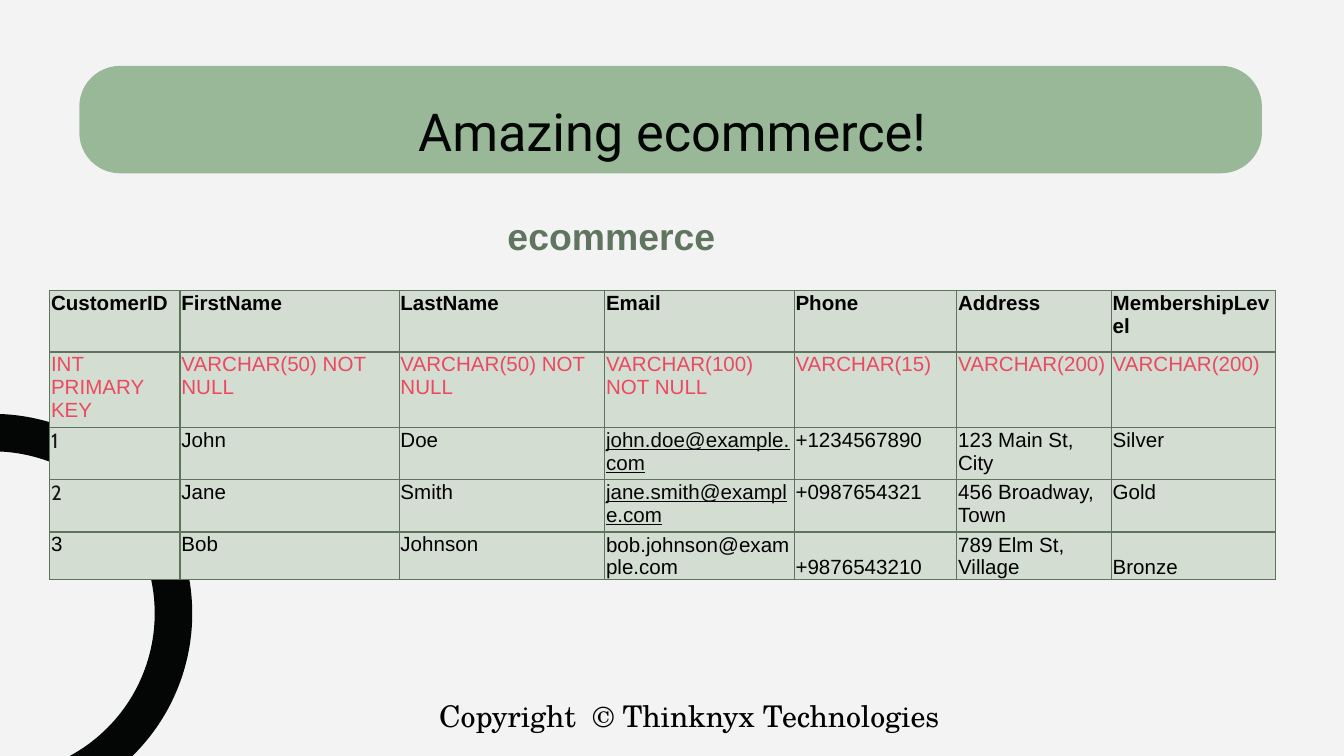
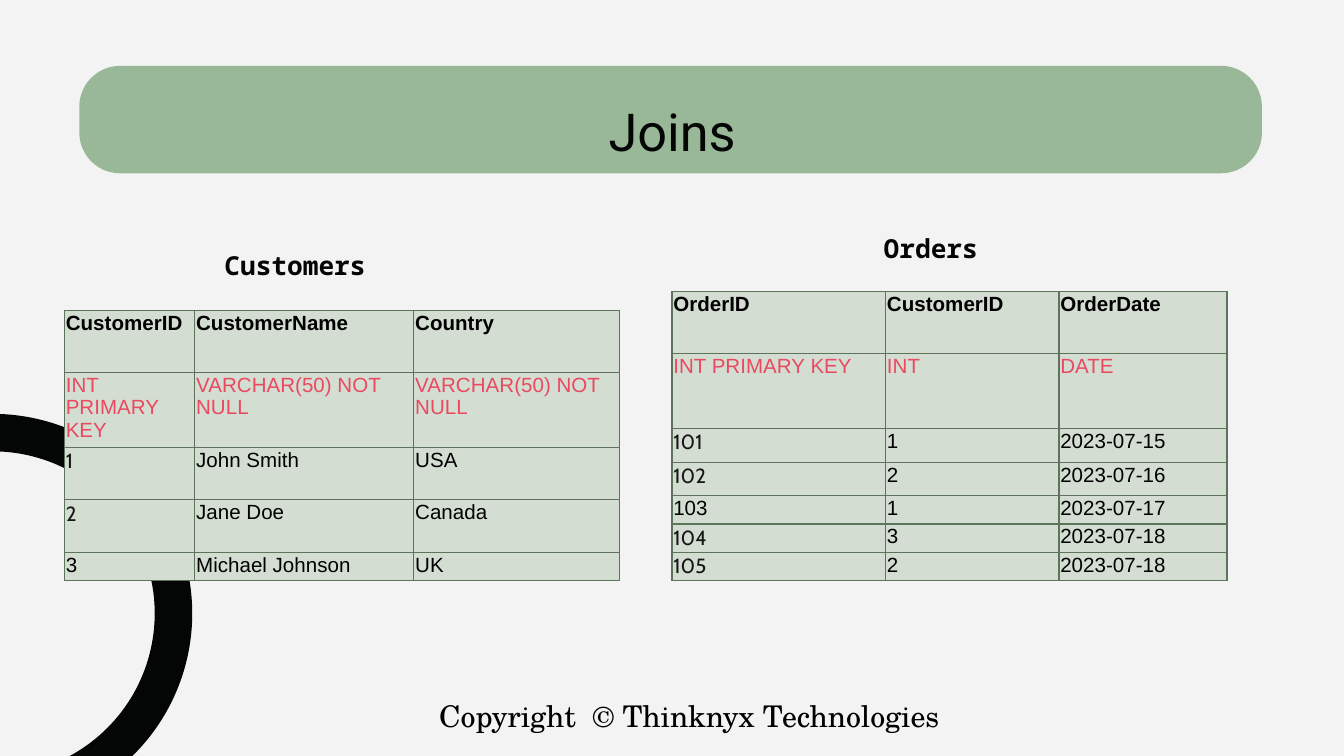
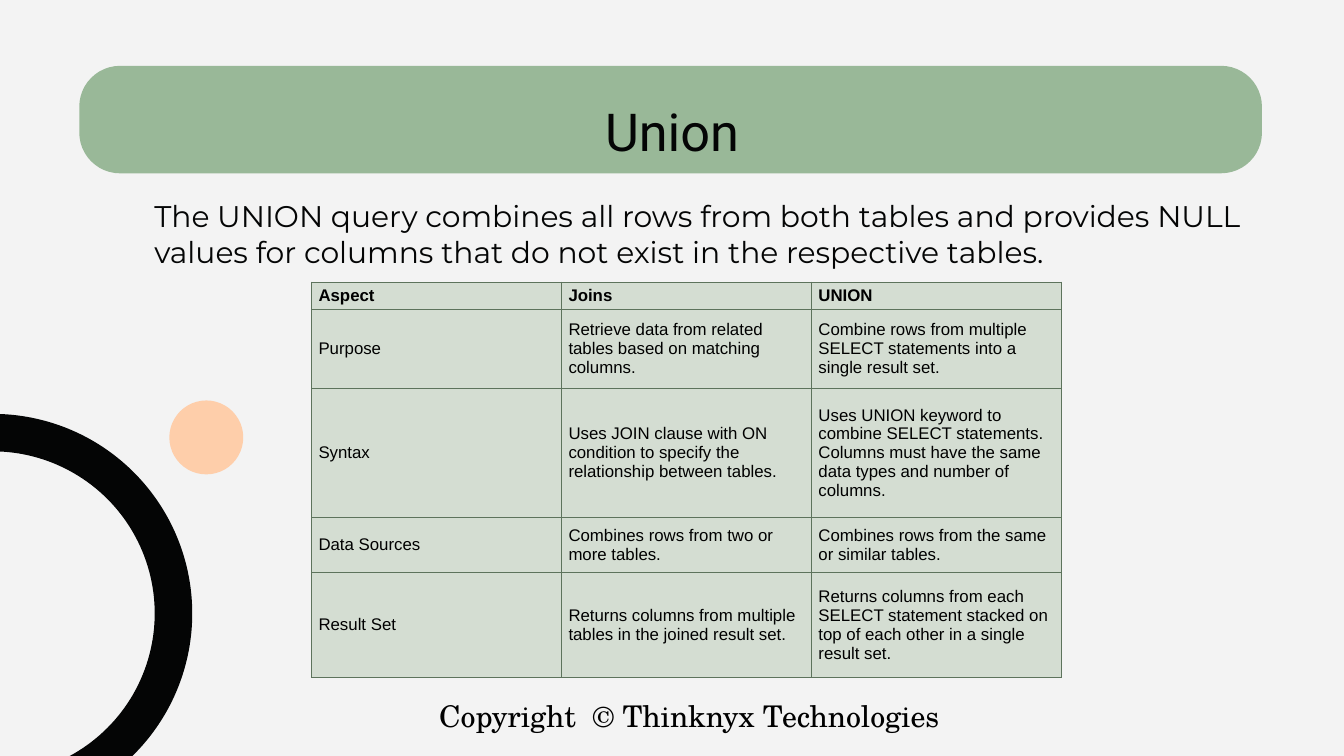
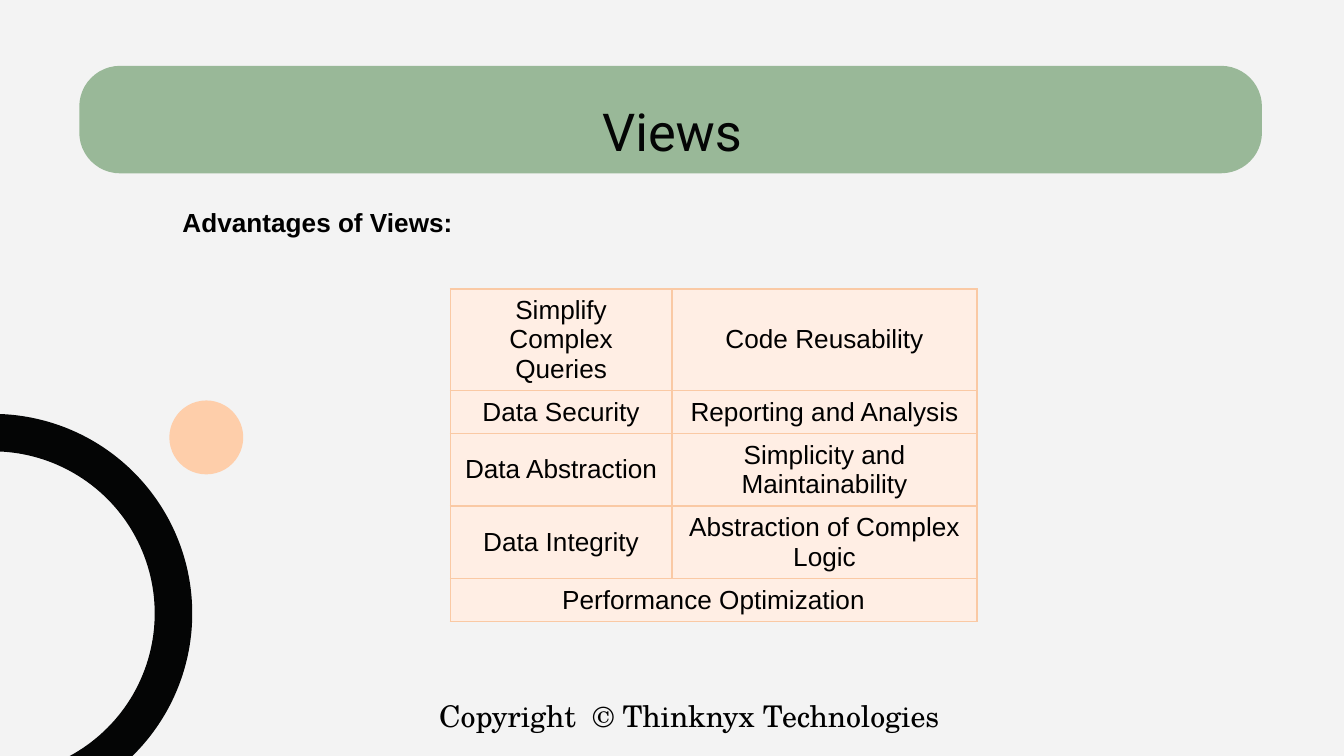
from dataclasses import dataclass
from typing import Callable

from lxml.etree import SubElement
from pptx import Presentation
from pptx.dml.color import RGBColor
from pptx.enum.shapes import MSO_SHAPE as Preset
from pptx.enum.text import MSO_ANCHOR as Anchor, MSO_AUTO_SIZE as AutoSize, PP_ALIGN as Align
from pptx.oxml.ns import qn
from pptx.util import Inches, Pt

# Colours
PAPER = RGBColor(0xF3, 0xF3, 0xF3)
INK = RGBColor(0x04, 0x05, 0x05)
BLACK = RGBColor(0, 0, 0)
ID_GREY = RGBColor(0x16, 0x16, 0x16)
BAND_GREEN = RGBColor(0x99, 0xB8, 0x98)
HEADING_GREEN = RGBColor(0x60, 0x75, 0x5F)
GRID_GREEN = RGBColor(0x5D, 0x73, 0x5C)
CELL_GREEN = RGBColor(0xD4, 0xDD, 0xD2)
PEACH = RGBColor(0xFE, 0xCE, 0xAA)
GRID_PEACH = RGBColor(0xFA, 0xC9, 0xA4)
CELL_PEACH = RGBColor(0xFF, 0xEE, 0xE4)
TYPE_RED = RGBColor(0xEA, 0x49, 0x60)

COPYRIGHT = "Copyright  © Thinknyx Technologies"
CABIN_IDS = {"1", "2", "101", "102", "104", "105"}
TITLE_ONLY = 5


@dataclass(frozen=True)
class TextStyle:
    size: float
    font: str = "Arial"
    color: RGBColor = BLACK
    bold: bool = False
    underline: bool = False
    align: Align = Align.LEFT
    anchor: Anchor = Anchor.TOP


@dataclass(frozen=True)
class Label:
    text: str
    at: tuple[float, float, float, float]
    style: TextStyle
    wrap: bool = True


@dataclass(frozen=True)
class Look:
    fill: RGBColor
    grid: RGBColor
    margins: tuple[float, float, float, float]  # left, top, right, bottom
    style_for: Callable[[int, int, str], TextStyle]


@dataclass(frozen=True)
class Grid:
    left: float
    top: float
    columns: list[float]
    heights: list[float]
    rows: list[tuple[str, ...]]
    look: Look


@dataclass(frozen=True)
class Page:
    title: str
    labels: list[Label]
    grids: list[Grid]
    dot: bool = False


# Cell styles by position
def schema_style(row: int, column: int, text: str) -> TextStyle:
    if row == 0:
        return TextStyle(11, bold=True)
    if row == 1:
        return TextStyle(11, color=TYPE_RED)
    if column == 0 and text in CABIN_IDS:
        return TextStyle(11, "Cabin", ID_GREY)
    if "@" in text and row < 4:
        return TextStyle(11, color=INK, underline=True)
    if row == 4 and column >= 3:
        return TextStyle(11, anchor=Anchor.BOTTOM)
    return TextStyle(11)


def comparison_style(row: int, column: int, text: str) -> TextStyle:
    return TextStyle(9, bold=row == 0, anchor=Anchor.BOTTOM if row == 0 else Anchor.MIDDLE)


def advantage_style(row: int, column: int, text: str) -> TextStyle:
    return TextStyle(14, align=Align.CENTER, anchor=Anchor.MIDDLE)


SCHEMA = Look(CELL_GREEN, GRID_GREEN, (0.01, 0.01, 0.01, 0), schema_style)
COMPARISON = Look(CELL_GREEN, GRID_GREEN, (0.05, 0.03, 0.05, 0.03), comparison_style)
ADVANTAGES = Look(CELL_PEACH, GRID_PEACH, (0.1, 0.05, 0.1, 0.05), advantage_style)

TITLE = TextStyle(28, "Roboto", INK, align=Align.CENTER, anchor=Anchor.MIDDLE)
TABLE_NAME = TextStyle(14, "Noto Sans Mono", INK, bold=True, align=Align.CENTER)
FOOTER = Label(COPYRIGHT, (3.14, 5.14, 3.98, 0.37),
               TextStyle(16, "TeX Gyre Schola", align=Align.CENTER), wrap=False)

# Slide content
VARCHAR_50 = "VARCHAR(50) NOT NULL"
PAGES = [
    Page(
        "Amazing ecommerce!",
        [Label("ecommerce", (0.95, 1.54, 7.2, 0.44),
               TextStyle(20, color=HEADING_GREEN, bold=True, align=Align.CENTER))],
        [Grid(0.37, 2.16, [0.97, 1.63, 1.53, 1.41, 1.21, 1.15, 1.22],
              [0.46, 0.56, 0.39, 0.39, 0.35], [
            ("CustomerID", "FirstName", "LastName", "Email", "Phone", "Address",
             "MembershipLevel"),
            ("INT PRIMARY KEY", VARCHAR_50, VARCHAR_50, "VARCHAR(100) NOT NULL",
             "VARCHAR(15)", "VARCHAR(200)", "VARCHAR(200)"),
            ("1", "John", "Doe", "john.doe@example.com", "+1234567890",
             "123 Main St, City", "Silver"),
            ("2", "Jane", "Smith", "jane.smith@example.com", "+0987654321",
             "456 Broadway, Town", "Gold"),
            ("3", "Bob", "Johnson", "bob.johnson@example.com", "+9876543210",
             "789 Elm St, Village", "Bronze"),
        ], SCHEMA)],
    ),
    Page(
        "Joins",
        [Label("Customers ", (-0.26, 1.81, 5.03, 0.34), TABLE_NAME),
         Label("Orders ", (4.47, 1.68, 5.03, 0.34), TABLE_NAME)],
        [Grid(0.48, 2.31, [0.97, 1.63, 1.53], [0.46, 0.56, 0.39, 0.39, 0.21], [
            ("CustomerID", "CustomerName", "Country"),
            ("INT PRIMARY KEY", VARCHAR_50, VARCHAR_50),
            ("1", "John Smith", "USA"),
            ("2", "Jane Doe", "Canada"),
            ("3", "Michael Johnson", "UK"),
        ], SCHEMA),
         Grid(5, 2.17, [1.59, 1.29, 1.25], [0.46, 0.56, 0.25, 0.25, 0.21, 0.21, 0.21], [
            ("OrderID", "CustomerID", "OrderDate"),
            ("INT PRIMARY KEY", "INT", "DATE"),
            ("101", "1", "2023-07-15"),
            ("102", "2", "2023-07-16"),
            ("103", "1", "2023-07-17"),
            ("104", "3", "2023-07-18"),
            ("105", "2", "2023-07-18"),
        ], SCHEMA)],
    ),
    Page(
        "Union",
        [Label("The UNION query combines all rows from both tables and provides NULL "
               "values for columns that do not exist in the respective tables.",
               (1.05, 1.42, 8.56, 0.64), TextStyle(16, "Montserrat", INK))],
        [Grid(2.32, 2.1, [1.86] * 3, [0.2, 0.59, 0.96, 0.41, 0.78], [
            ("Aspect", "Joins", "UNION"),
            ("Purpose", "Retrieve data from related tables based on matching columns.",
             "Combine rows from multiple SELECT statements into a single result set."),
            ("Syntax",
             "Uses JOIN clause with ON condition to specify the relationship between tables.",
             "Uses UNION keyword to combine SELECT statements. Columns must have the same "
             "data types and number of columns."),
            ("Data Sources", "Combines rows from two or more tables.",
             "Combines rows from the same or similar tables."),
            ("Result Set", "Returns columns from multiple tables in the joined result set.",
             "Returns columns from each SELECT statement stacked on top of each other in a "
             "single result set."),
        ], COMPARISON)],
        dot=True,
    ),
    Page(
        "Views",
        [Label("Advantages of Views:", (1.26, 1.49, 2.83, 0.34), TextStyle(14, bold=True))],
        [Grid(3.35, 2.15, [1.65, 2.27], [0.75, 0.32, 0.54, 0.54, 0.32], [
            ("Simplify Complex Queries", "Code Reusability"),
            ("Data Security", "Reporting and Analysis"),
            ("Data Abstraction", "Simplicity and Maintainability"),
            ("Data Integrity", "Abstraction of Complex Logic"),
            ("Performance Optimization",),
        ], ADVANTAGES)],
        dot=True,
    ),
]


# Drawing helpers
def write(frame, text: str, style: TextStyle) -> None:
    frame.text = text
    para = frame.paragraphs[0]
    para.alignment = style.align
    font = para.runs[0].font
    font.name, font.size = style.font, Pt(style.size)
    font.bold, font.underline = style.bold, style.underline
    font.color.rgb = style.color


def add_preset(page, preset: Preset, at: tuple, color: RGBColor,
               adjustments: tuple = (), rotation: float = 0) -> None:
    shape = page.shapes.add_shape(preset, *map(Inches, at))
    shape.shadow.inherit = False
    shape.fill.solid()
    shape.fill.fore_color.rgb = color
    shape.line.fill.background()
    shape.rotation = rotation
    for index, value in enumerate(adjustments):
        shape.adjustments[index] = value


def add_label(page, label: Label) -> None:
    box = page.shapes.add_textbox(*map(Inches, label.at))
    frame = box.text_frame
    frame.word_wrap = label.wrap
    frame.auto_size = AutoSize.SHAPE_TO_FIT_TEXT
    write(frame, label.text, label.style)


def add_borders(cell, color: RGBColor) -> None:
    properties = cell._tc.get_or_add_tcPr()
    for side in ("a:lnL", "a:lnR", "a:lnT", "a:lnB"):
        line = SubElement(properties, qn(side), w=str(Pt(0.75)))
        fill = SubElement(line, qn("a:solidFill"))
        SubElement(fill, qn("a:srgbClr"), val=str(color))


def add_grid(page, grid: Grid) -> None:
    look = grid.look
    place = (grid.left, grid.top, sum(grid.columns), sum(grid.heights))
    table = page.shapes.add_table(len(grid.rows), len(grid.columns),
                                  *map(Inches, place)).table
    table.first_row = table.horz_banding = False
    for column, width in zip(table.columns, grid.columns):
        column.width = Inches(width)
    for row, height in zip(table.rows, grid.heights):
        row.height = Inches(height)
    for cell in table.iter_cells():
        add_borders(cell, look.grid)
        cell.fill.solid()
        cell.fill.fore_color.rgb = look.fill
        (cell.margin_left, cell.margin_top,
         cell.margin_right, cell.margin_bottom) = map(Inches, look.margins)
    for row, texts in enumerate(grid.rows):
        # A short row spans the remaining columns
        if len(texts) < len(grid.columns):
            table.cell(row, len(texts) - 1).merge(table.cell(row, len(grid.columns) - 1))
        for column, text in enumerate(texts):
            cell = table.cell(row, column)
            style = look.style_for(row, column, text)
            cell.vertical_anchor = style.anchor
            write(cell.text_frame, text, style)


def add_title(page, text: str) -> None:
    title = page.shapes.title
    title.left, title.top, title.width, title.height = map(Inches, (0.78, 0.67, 8.44, 0.47))
    frame = title.text_frame
    frame.margin_left = frame.margin_top = frame.margin_right = frame.margin_bottom = 0
    frame.vertical_anchor = TITLE.anchor
    frame.word_wrap = True
    frame.auto_size = AutoSize.NONE
    write(frame, text, TITLE)
    frame.paragraphs[0].line_spacing = 1.29
    # Bring the title in front of the band
    title.element.getparent().append(title.element)


def add_page(deck, content: Page) -> None:
    page = deck.slides.add_slide(deck.slide_layouts[TITLE_ONLY])
    # Shared footer, band and ring
    add_label(page, FOOTER)
    add_preset(page, Preset.ROUNDED_RECTANGLE, (0.59, 0.49, 8.8, 0.8), BAND_GREEN, (0.38,))
    add_preset(page, Preset.BLOCK_ARC, (-1.54, 3.08, 2.97, 2.97), INK, (108, 0, 0.094), 90)
    add_title(page, content.title)
    if content.dot:
        add_preset(page, Preset.OVAL, (1.26, 2.98, 0.55, 0.55), PEACH)
    for grid in content.grids:
        add_grid(page, grid)
    for label in content.labels:
        add_label(page, label)


def main() -> None:
    deck = Presentation()
    # Widescreen, 16 by 9
    deck.slide_width = Inches(10)
    deck.slide_height = deck.slide_width * 9 // 16
    background = deck.slide_master.background.fill
    background.solid()
    background.fore_color.rgb = PAPER
    for content in PAGES:
        add_page(deck, content)
    deck.save("out.pptx")


if __name__ == "__main__":
    main()
